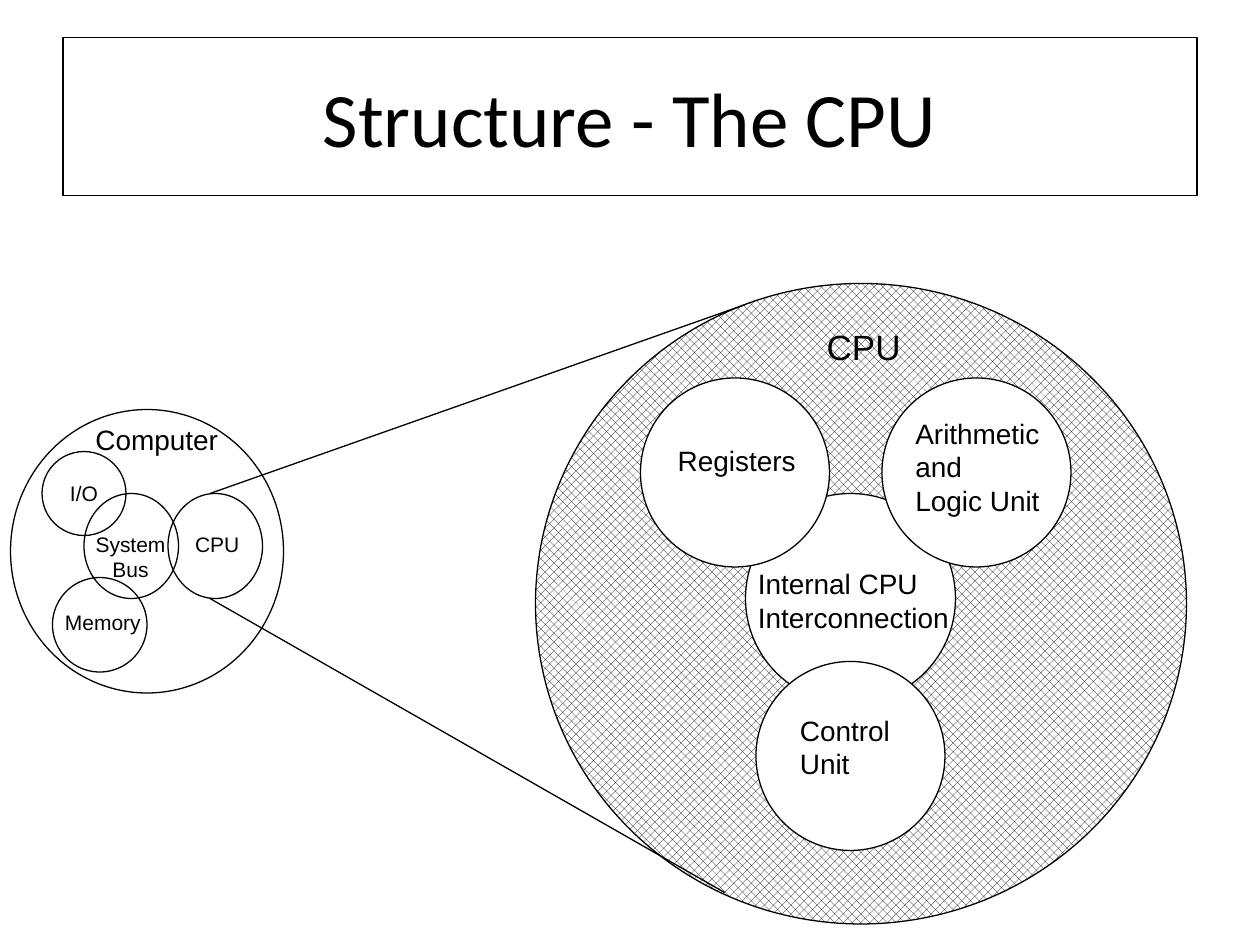
from lxml.etree import SubElement
from pptx import Presentation
from pptx.dml.color import RGBColor
from pptx.enum.dml import MSO_PATTERN
from pptx.enum.shapes import MSO_CONNECTOR, MSO_SHAPE
from pptx.enum.text import MSO_ANCHOR, MSO_AUTO_SIZE, PP_ALIGN
from pptx.oxml.ns import qn
from pptx.util import Pt

BLACK, WHITE = "000000", "FFFFFF"
TITLE = ("Structure - The CPU", (36, 21.6, 648, 90))
CPU_CIRCLE = (306, 162, 372, 366)
CPU_PARTS = [
    (426, 282, 120, 120),
    (366, 216, 108, 108),
    (504, 216, 108, 108),
    (432, 378, 108, 108),
]
COMPUTER_PARTS = [
    (6, 234, 156, 162),
    (96, 282, 54, 60),
    (30, 330, 54, 54),
    (48, 282, 54, 60),
]
IO_CIRCLE = (24, 258, 48, 48)
ZOOM_LINES = [(120, 282, 426, 174), (120, 342, 414, 510)]
LEFT_LABELS = [
    (["Computer"], (47.5, 238, 88, 26.6)),
    (["Arithmetic", "and", "Logic Unit"], (516, 234.3, 90, 64.8)),
    (["Control", "Unit"], (450, 404, 70, 46)),
    (["Internal CPU", "Interconnection"], (426, 320.4, 128, 46)),
    (["Registers"], (380.2, 250, 86, 26.6)),
]
CENTRED_LABELS = [
    (["CPU"], (102.2, 300.2, 44, 21.6), 12),
    (["Memory"], (27.8, 344.9, 62, 21.6), 12),
    (["System", "Bus"], (44.6, 300.2, 60, 36), 12),
    (["CPU"], (463.5, 182.5, 60, 31), 20),
]


def colour(value):
    """Return a colour from its hex string."""
    return RGBColor.from_string(value)


def outline(item):
    """Give a shape or connector the thin black line."""
    item.line.color.rgb = colour(BLACK)
    item.line.width = Pt(0.75)


def write(shape, lines, size, font="Arial", centred=True, wrap=True):
    """Write one paragraph for each line into a shape."""
    frame = shape.text_frame
    frame.word_wrap = wrap
    frame.vertical_anchor = MSO_ANCHOR.MIDDLE if centred else MSO_ANCHOR.TOP
    for index, line in enumerate(lines):
        para = frame.add_paragraph() if index else frame.paragraphs[0]
        para.alignment = PP_ALIGN.CENTER if centred else PP_ALIGN.LEFT
        span = para.add_run()
        span.text = line
        span.font.name = font
        span.font.size = Pt(size)
        span.font.color.rgb = colour(BLACK)


def add_circle(page, place, fill=None):
    """Add an outlined ellipse, filled when a colour is given."""
    circle = page.shapes.add_shape(MSO_SHAPE.OVAL, *map(Pt, place))
    circle.shadow.inherit = False
    outline(circle)
    if fill:
        circle.fill.solid()
        circle.fill.fore_color.rgb = colour(fill)
    else:
        circle.fill.background()
    return circle


def add_label(page, lines, place, size, centred):
    """Add a text box that fits its text."""
    box = page.shapes.add_textbox(*map(Pt, place))
    write(box, lines, size, centred=centred)
    box.text_frame.auto_size = MSO_AUTO_SIZE.SHAPE_TO_FIT_TEXT


def main():
    """Build the slide and save it."""
    deck = Presentation()
    deck.slide_width, deck.slide_height = Pt(720), Pt(540)
    page = deck.slides.add_slide(deck.slide_layouts[6])

    heading, place = TITLE
    title = page.shapes.add_textbox(*map(Pt, place))
    outline(title)
    write(title, [heading], 44, font="Calibri")

    cpu = add_circle(page, CPU_CIRCLE)
    cpu.fill.patterned()
    cpu.fill.pattern = MSO_PATTERN.PERCENT_50
    cpu.fill.fore_color.rgb = colour(BLACK)
    cpu.fill.back_color.rgb = colour(WHITE)
    for place in CPU_PARTS:
        add_circle(page, place, WHITE)
    for place in COMPUTER_PARTS:
        add_circle(page, place)
    write(add_circle(page, IO_CIRCLE), ["I/O"], 12, wrap=False)

    for ends in ZOOM_LINES:
        line = page.shapes.add_connector(MSO_CONNECTOR.STRAIGHT, *map(Pt, ends))
        outline(line)
        SubElement(line._element.spPr, qn("a:effectLst"))

    for lines, place in LEFT_LABELS:
        add_label(page, lines, place, 16, centred=False)
    for lines, place, size in CENTRED_LABELS:
        add_label(page, lines, place, size, centred=True)

    deck.save("out.pptx")


if __name__ == "__main__":
    main()
